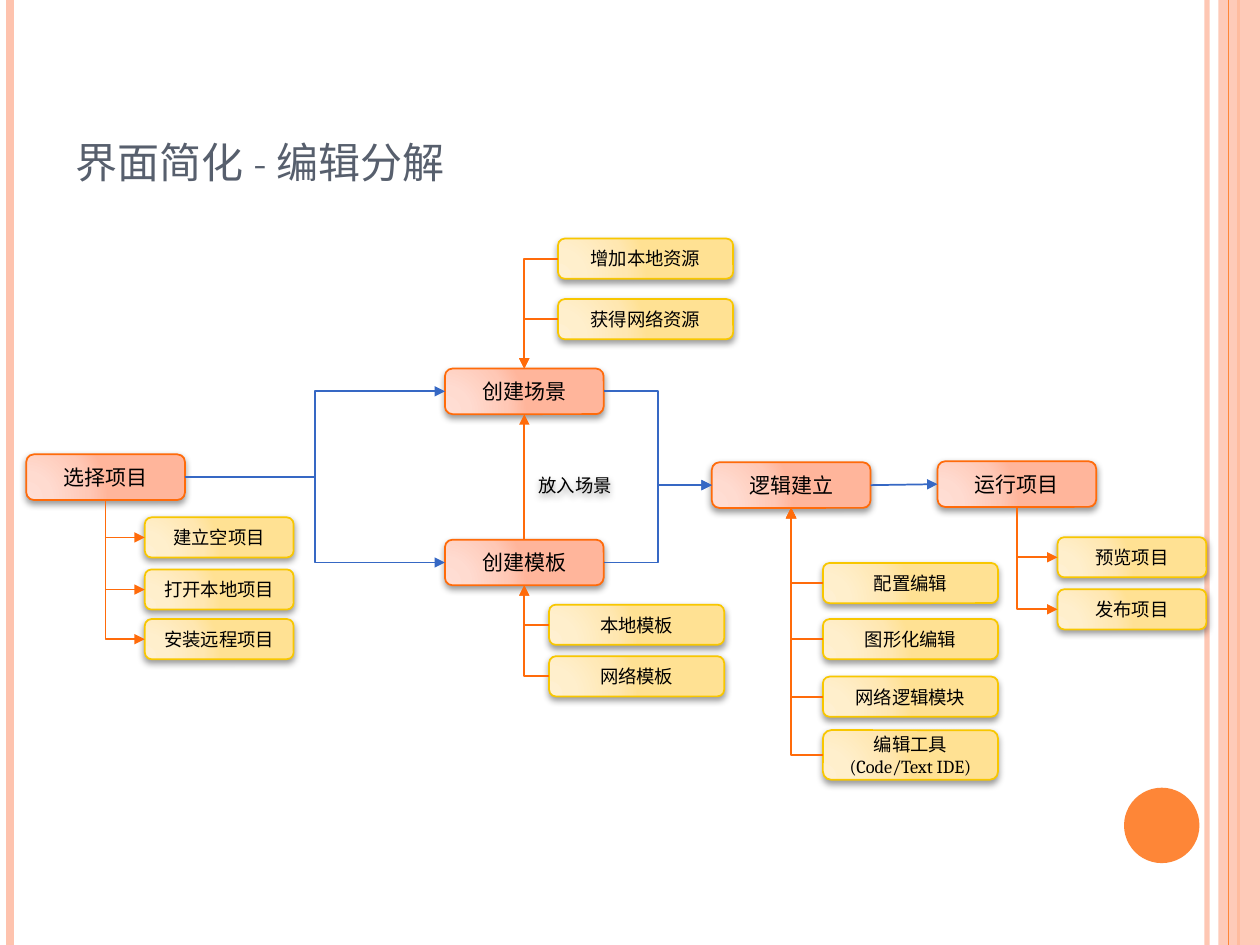
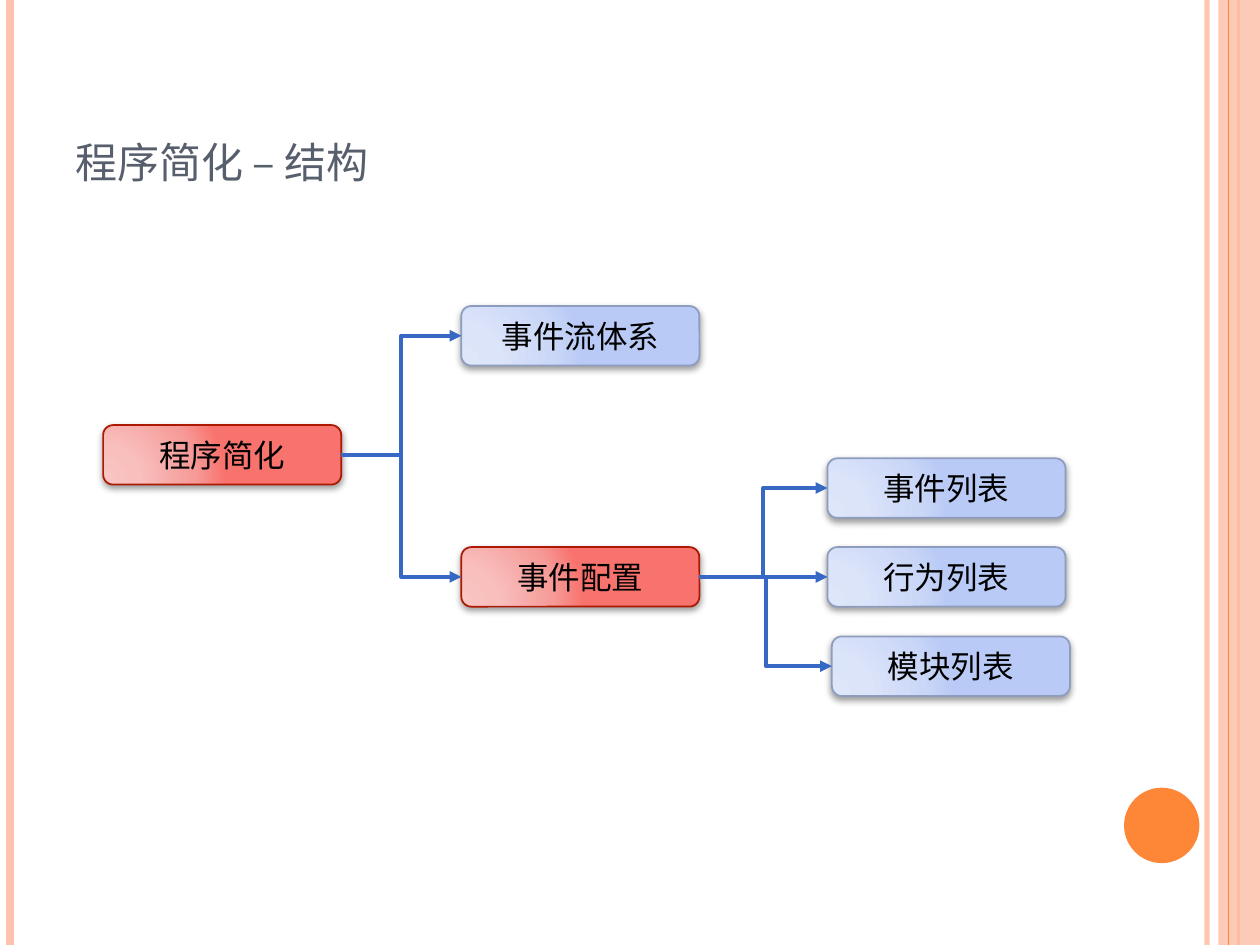
from lxml import etree
from pptx import Presentation
from pptx.dml.color import RGBColor
from pptx.enum.shapes import MSO_CONNECTOR, MSO_SHAPE
from pptx.enum.text import MSO_ANCHOR, PP_ALIGN
from pptx.oxml.ns import qn
from pptx.util import Cm, Pt

STRAIGHT, ELBOW = MSO_CONNECTOR.STRAIGHT, MSO_CONNECTOR.ELBOW
RECTANGLE, ROUNDED, OVAL = MSO_SHAPE.RECTANGLE, MSO_SHAPE.ROUNDED_RECTANGLE, MSO_SHAPE.OVAL
LEFT, CENTER = PP_ALIGN.LEFT, PP_ALIGN.CENTER
MIDDLE, BOTTOM = MSO_ANCHOR.MIDDLE, MSO_ANCHOR.BOTTOM
TOP_SIDE, LEFT_SIDE, BOTTOM_SIDE, RIGHT_SIDE = range(4)
AT_START, AT_END = "a:headEnd", "a:tailEnd"

FONT = "Cambria"
BLACK = RGBColor(0x00, 0x00, 0x00)
SLATE = RGBColor(0x57, 0x5F, 0x6D)
PEACH = RGBColor(0xFE, 0xC3, 0xAE)
ORANGE = RGBColor(0xFE, 0x86, 0x37)
DEEP_ORANGE = RGBColor(0xFF, 0x6B, 0x0A)
GOLD = RGBColor(0xF8, 0xC7, 0x00)
BLUE = RGBColor(0x36, 0x68, 0xC4)
DARK_RED = RGBColor(0xAC, 0x18, 0x00)
STEEL = RGBColor(0x8D, 0x9C, 0xBF)

STOPS = (0, 30, 75, 100)
STEP = (DEEP_ORANGE, [RGBColor(0xFF, 0xDE, 0xD5), RGBColor(0xFF, 0xDB, 0xD0),
                      RGBColor(0xFF, 0xC8, 0xB6), RGBColor(0xFF, 0xB5, 0x9B)])
OPTION = (GOLD, [RGBColor(0xFF, 0xF0, 0xD1), RGBColor(0xFF, 0xEF, 0xCC),
                 RGBColor(0xFF, 0xE7, 0xB1), RGBColor(0xFF, 0xE1, 0x93)])
BRANCH = (DARK_RED, [RGBColor(0xF8, 0xC5, 0xC3), RGBColor(0xF8, 0xBF, 0xBD),
                     RGBColor(0xF6, 0x9B, 0x98), RGBColor(0xF8, 0x73, 0x6E)])
LEAF = (STEEL, [RGBColor(0xDE, 0xE6, 0xFA), RGBColor(0xDB, 0xE4, 0xF9),
                RGBColor(0xCA, 0xD7, 0xF7), RGBColor(0xB8, 0xCA, 0xF5)])
PLAIN = None


def write(frame, text, size, color=BLACK, align=CENTER, anchor=MIDDLE, small_caps=False):
    frame.text = text
    frame.word_wrap = True
    frame.vertical_anchor = anchor
    for paragraph in frame.paragraphs:
        paragraph.alignment = align
        for run in paragraph.runs:
            run.font.name, run.font.size = FONT, Pt(size)
            run.font.color.rgb = color
            if small_caps:
                run.font._element.set("cap", "small")


def draw_line(slide, kind, ends, color, width, arrow=None):
    line = slide.shapes.add_connector(kind, *[Cm(value) for value in ends])
    line.line.color.rgb = color
    line.line.width = Pt(width)
    if arrow:
        etree.SubElement(line.line._get_or_add_ln(), qn(arrow), type="triangle")
    etree.SubElement(line._element.spPr, qn("a:effectLst"))
    return line


steps = [(text, STEP, left, top, 3.2, 0.92, 12) for text, left, top in [
    ("选择项目", 0.53, 9.16), ("创建场景", 8.97, 7.43), ("创建模板", 8.97, 10.88),
    ("逻辑建立", 14.35, 9.32), ("运行项目", 18.9, 9.3)]]
option_groups = [
    ("选择项目", BOTTOM_SIDE, AT_START, 2.92, 3,
     [("建立空项目", 10.43), ("打开本地项目", 11.48), ("安装远程项目", 12.48)]),
    ("创建场景", TOP_SIDE, AT_END, 11.25, 3.53,
     [("增加本地资源", 4.81), ("获得网络资源", 6.03)]),
    ("创建模板", BOTTOM_SIDE, AT_END, 11.07, 3.53,
     [("本地模板", 12.19), ("网络模板", 13.23)]),
    ("逻辑建立", BOTTOM_SIDE, AT_END, 16.59, 3.53,
     [("配置编辑", 11.35), ("图形化编辑", 12.48), ("网络逻辑模块", 13.64),
      ("编辑工具\v(Code/Text IDE)", 14.72)]),
    ("运行项目", BOTTOM_SIDE, AT_START, 21.32, 3,
     [("预览项目", 10.83), ("发布项目", 11.88)]),
]
options, option_links = [], []
for step, side, arrow, left, width, entries in option_groups:
    for text, top in entries:
        height = 1 if "\v" in text else 0.81
        options.append((text, OPTION, left, top, width, height, 10.5))
        option_links.append((text, LEFT_SIDE, step, side, "bentConnector2", DEEP_ORANGE, 1, arrow))
caption = ("放入场景", PLAIN, 10.34, 9.37, 2.51, 0.81, 10.5)

step_links = [(start, RIGHT_SIDE, end, LEFT_SIDE, shape, BLUE, 1, AT_END) for start, end, shape in [
    ("选择项目", "创建场景", "bentConnector3"), ("选择项目", "创建模板", "bentConnector3"),
    ("创建场景", "逻辑建立", "bentConnector3"), ("创建模板", "逻辑建立", "bentConnector3"),
    ("逻辑建立", "运行项目", "line")]]
step_links.append(("创建模板", TOP_SIDE, "创建场景", BOTTOM_SIDE, "line", DEEP_ORANGE, 1, AT_END))

parts = [(text, style, left, top, 4.8, 1.2, 18) for text, style, left, top in [
    ("程序简化", BRANCH, 2.08, 8.57), ("事件流体系", LEAF, 9.3, 6.17),
    ("事件配置", BRANCH, 9.3, 11.03), ("事件列表", LEAF, 16.68, 9.24),
    ("行为列表", LEAF, 16.68, 11.03), ("模块列表", LEAF, 16.77, 12.83)]]
part_links = [(start, RIGHT_SIDE, end, LEFT_SIDE, shape, BLUE, 2.25, AT_END) for start, end, shape in [
    ("程序简化", "事件流体系", "bentConnector3"), ("程序简化", "事件配置", "bentConnector3"),
    ("事件配置", "事件列表", "bentConnector3"), ("事件配置", "行为列表", "line"),
    ("事件配置", "模块列表", "bentConnector3")]]

diagrams = [
    ("界面简化 - 编辑分解", steps + options + [caption], option_links + step_links),
    ("程序简化 – 结构", parts, part_links),
]

deck = Presentation()
deck.slide_width, deck.slide_height = Cm(25.4), Cm(19.05)

for heading, boxes, links in diagrams:
    slide = deck.slides.add_slide(deck.slide_layouts[5])

    right_rule = draw_line(slide, STRAIGHT, (24.33, 0, 24.33, 19.05), PEACH, 3)
    draw_line(slide, STRAIGHT, (0.21, 0, 0.21, 19.05), PEACH, 4.5)
    draw_line(slide, STRAIGHT, (24.97, 0, 24.97, 19.05), ORANGE, 1.5)
    for kind, area, color in [(RECTANGLE, (24.56, 0, 0.84, 19.05), PEACH),
                              (OVAL, (22.66, 15.88, 1.52, 1.52), ORANGE)]:
        ornament = slide.shapes.add_shape(kind, *[Cm(value) for value in area])
        ornament.shadow.inherit = False
        ornament.fill.solid()
        ornament.fill.fore_color.rgb = color
        ornament.line.fill.background()
        if kind == RECTANGLE:
            side_band = ornament
    draw_line(slide, STRAIGHT, (24.77, 0, 24.77, 19.05), ORANGE, 0.75)
    for part, alpha in [(right_rule, 93), (side_band, 87)]:
        for tint in list(part._element.spPr.iter(qn("a:srgbClr"))):
            etree.SubElement(tint, qn("a:alpha"), val=str(alpha * 1000))

    title = slide.shapes.title
    title.left, title.top, title.width, title.height = Cm(1.27), Cm(0.76), Cm(20.75), Cm(3.18)
    write(title.text_frame, heading, 30, color=SLATE, align=LEFT, anchor=BOTTOM, small_caps=True)

    placed = {}
    for text, style, left, top, width, height, size in boxes:
        box = slide.shapes.add_shape(ROUNDED, Cm(left), Cm(top), Cm(width), Cm(height))
        placed[text] = box
        write(box.text_frame, text, size)
        box.fill.background()
        box.line.fill.background()
        box.shadow.inherit = False
        properties = box._element.spPr
        shadow = etree.SubElement(properties.find(qn("a:effectLst")), qn("a:outerShdw"),
                                  blurRad="50800", dist="25400", dir="5400000", rotWithShape="0")
        shade = etree.SubElement(shadow, qn("a:srgbClr"), val=str(BLACK))
        etree.SubElement(shade, qn("a:alpha"), val="40000")
        if style is PLAIN:
            continue
        outline, tints = style
        box.line.color.rgb = outline
        box.line.width = Pt(1)
        gradient = etree.Element(qn("a:gradFill"), rotWithShape="1")
        stop_list = etree.SubElement(gradient, qn("a:gsLst"))
        for position, tint in zip(STOPS, tints):
            stop = etree.SubElement(stop_list, qn("a:gs"), pos=str(position * 1000))
            etree.SubElement(stop, qn("a:srgbClr"), val=str(tint))
        glow = etree.SubElement(gradient, qn("a:path"), {"path": "circle"})
        etree.SubElement(glow, qn("a:fillToRect"), l="5000", t="100000", r="120000", b="10000")
        properties.replace(properties.find(qn("a:noFill")), gradient)

    for start, start_side, end, end_side, route, color, width, arrow in links:
        kind = STRAIGHT if route == "line" else ELBOW
        link = draw_line(slide, kind, (0, 0, 0, 0), color, width, arrow)
        link.begin_connect(placed[start], start_side)
        link.end_connect(placed[end], end_side)
        link._element.spPr.find(qn("a:prstGeom")).set("prst", route)

deck.save("out.pptx")
